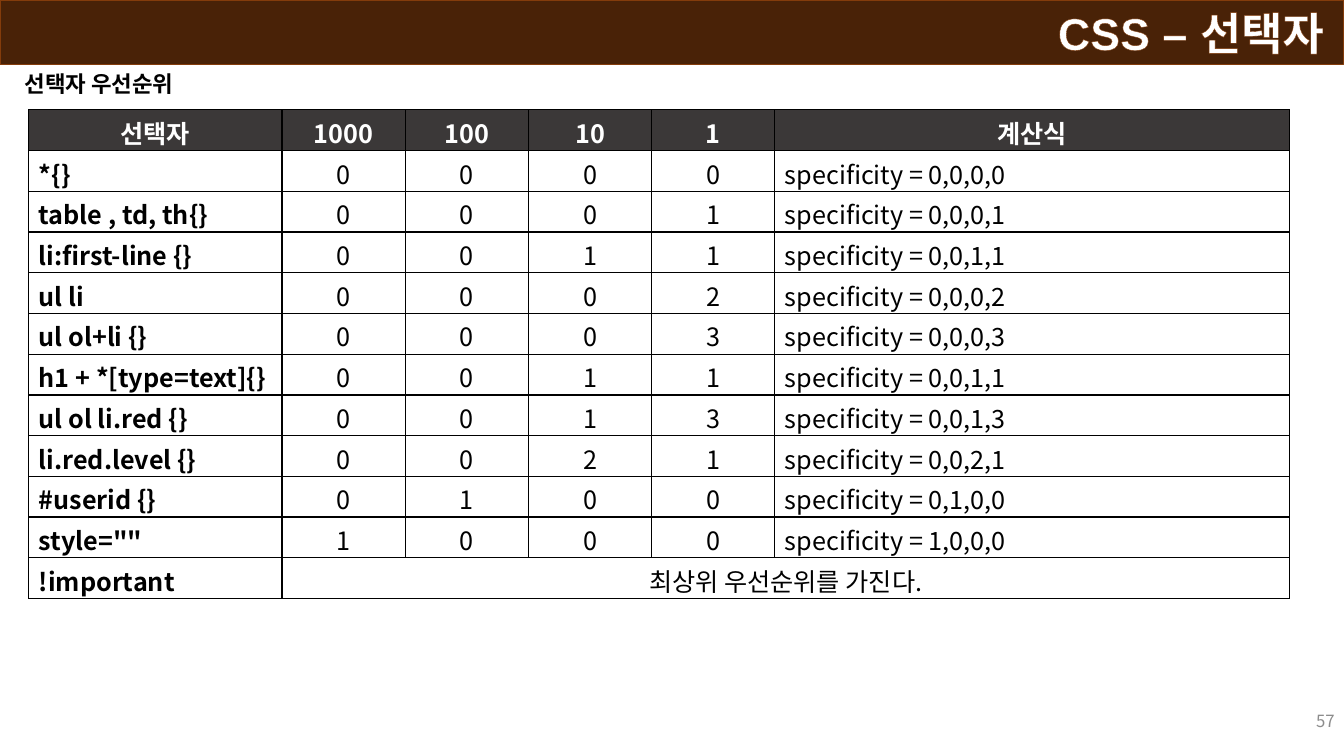
from pptx import Presentation
from pptx.dml.color import RGBColor
from pptx.enum.text import MSO_ANCHOR as Anchor, MSO_AUTO_SIZE as AutoSize, PP_ALIGN as Align
from pptx.oxml import parse_xml
from pptx.oxml.ns import nsdecls, qn
from pptx.util import Pt

KOREAN_FONT = "Noto Sans CJK KR"
BLACK, WHITE, GREY = "000000", "FFFFFF", "8C8C8C"
BROWN, RUST, CHARCOAL = "492207", "843C0B", "3B3838"

HEADINGS = ["선택자", "1000", "100", "10", "1", "계산식"]
SELECTORS = [
    ("*{}", "0000"),
    ("table , td, th{}", "0001"),
    ("li:first-line {}", "0011"),
    ("ul li", "0002"),
    ("ul ol+li {}", "0003"),
    ("h1 + *[type=text]{}", "0011"),
    ("ul ol li.red {}", "0013"),
    ("li.red.level {}", "0021"),
    ("#userid {}", "0100"),
    ('style=""', "1000"),
]
COLUMN_WIDTHS = [181, 88, 88, 88, 88, 367.5]


def color(value):
    return RGBColor.from_string(value)


def add_run(para, text, size, ink=BLACK, bold=False, font=KOREAN_FONT):
    span = para.add_run()
    span.text = text
    span.font.size = Pt(size)
    span.font.bold = bold
    span.font.name = font
    span.font.color.rgb = color(ink)
    east_asian = parse_xml(f'<a:ea {nsdecls("a")} typeface="{KOREAN_FONT}"/>')
    span.font._element.find(qn("a:latin")).addnext(east_asian)
    return span


def outline_xml(tag, ink, width):
    return parse_xml(
        f'<a:{tag} {nsdecls("a")} w="{Pt(width)}"><a:solidFill>'
        f'<a:srgbClr val="{ink}"/></a:solidFill></a:{tag}>')


def place(shape, left, top, width, height):
    shape.left, shape.top = Pt(left), Pt(top)
    shape.width, shape.height = Pt(width), Pt(height)


def add_title_bar(page, box):
    title = page.shapes.title
    place(title, *box)
    title.fill.solid()
    title.fill.fore_color.rgb = color(BROWN)
    title.line.color.rgb = color(RUST)
    title.line.width = Pt(0.75)
    frame = title.text_frame
    frame.auto_size = AutoSize.NONE
    frame.vertical_anchor = Anchor.MIDDLE
    frame.margin_right = Pt(14.4)
    para = frame.paragraphs[0]
    para.alignment = Align.RIGHT
    span = add_run(para, "CSS – 선택자", 32, WHITE, True, "Arial")
    span.font._element.insert(0, outline_xml("ln", RUST, 0.75))


def add_label(page, box, text, size, ink, bold, align, anchor):
    label = page.shapes.add_textbox(*map(Pt, box))
    frame = label.text_frame
    frame.word_wrap = True
    frame.vertical_anchor = anchor
    para = frame.paragraphs[0]
    para.alignment = align
    add_run(para, text, size, ink, bold)


def fill_cell(cell, text, align, ink=BLACK, bold=False, fill=None):
    cell.margin_top, cell.margin_bottom = Pt(3), Pt(0)
    para = cell.text_frame.paragraphs[0]
    para.alignment = align
    if text:
        add_run(para, text, 18, ink, bold)
    # Borders come before the fill in the cell properties
    properties = cell._tc.get_or_add_tcPr()
    for side in ("lnL", "lnR", "lnT", "lnB"):
        properties.append(outline_xml(side, BLACK, 1))
    if fill:
        cell.fill.solid()
        cell.fill.fore_color.rgb = color(fill)
    else:
        cell.fill.background()


def add_priority_table(page, box):
    row_count = len(SELECTORS) + 2
    frame = page.shapes.add_table(row_count, len(HEADINGS), *map(Pt, box))
    table = frame.table
    table.first_row = table.horz_banding = False
    for column, width in zip(table.columns, COLUMN_WIDTHS):
        column.width = Pt(width)
    for row in table.rows:
        row.height = Pt(box[3] / row_count)

    # Heading row
    for column, text in enumerate(HEADINGS):
        fill_cell(table.cell(0, column), text, Align.CENTER, WHITE, True, CHARCOAL)

    # One row per selector, its formula made from the four digits
    for row, (selector, digits) in enumerate(SELECTORS, 1):
        fill_cell(table.cell(row, 0), selector, Align.LEFT, bold=True)
        for column, digit in enumerate(digits, 1):
            fill_cell(table.cell(row, column), digit, Align.CENTER)
        formula = "specificity = " + ",".join(digits)
        fill_cell(table.cell(row, 5), formula, Align.LEFT)

    # Closing row with a merged remark
    last = row_count - 1
    closing = ["!important", "최상위 우선순위를 가진다.", "", "", "", ""]
    for column, text in enumerate(closing):
        align = Align.CENTER if column else Align.LEFT
        fill_cell(table.cell(last, column), text, align, bold=column == 0)
    table.cell(last, 1).merge(table.cell(last, 5))


def main():
    deck = Presentation()
    deck.slide_width, deck.slide_height = Pt(960), Pt(540)
    page = deck.slides.add_slide(deck.slide_layouts[5])
    add_title_bar(page, (0, 0, 960, 46))
    # Page number
    add_label(page, (744.5, 500.5, 216, 28.75), "57", 12, GREY, False,
              Align.RIGHT, Anchor.MIDDLE)
    # Section heading
    add_label(page, (10.5, 46.5, 939, 26.5), "선택자 우선순위", 16, BLACK, True,
              Align.LEFT, Anchor.TOP)
    add_priority_table(page, (20.5, 78.5, sum(COLUMN_WIDTHS), 349.2))
    deck.save("out.pptx")


if __name__ == "__main__":
    main()
